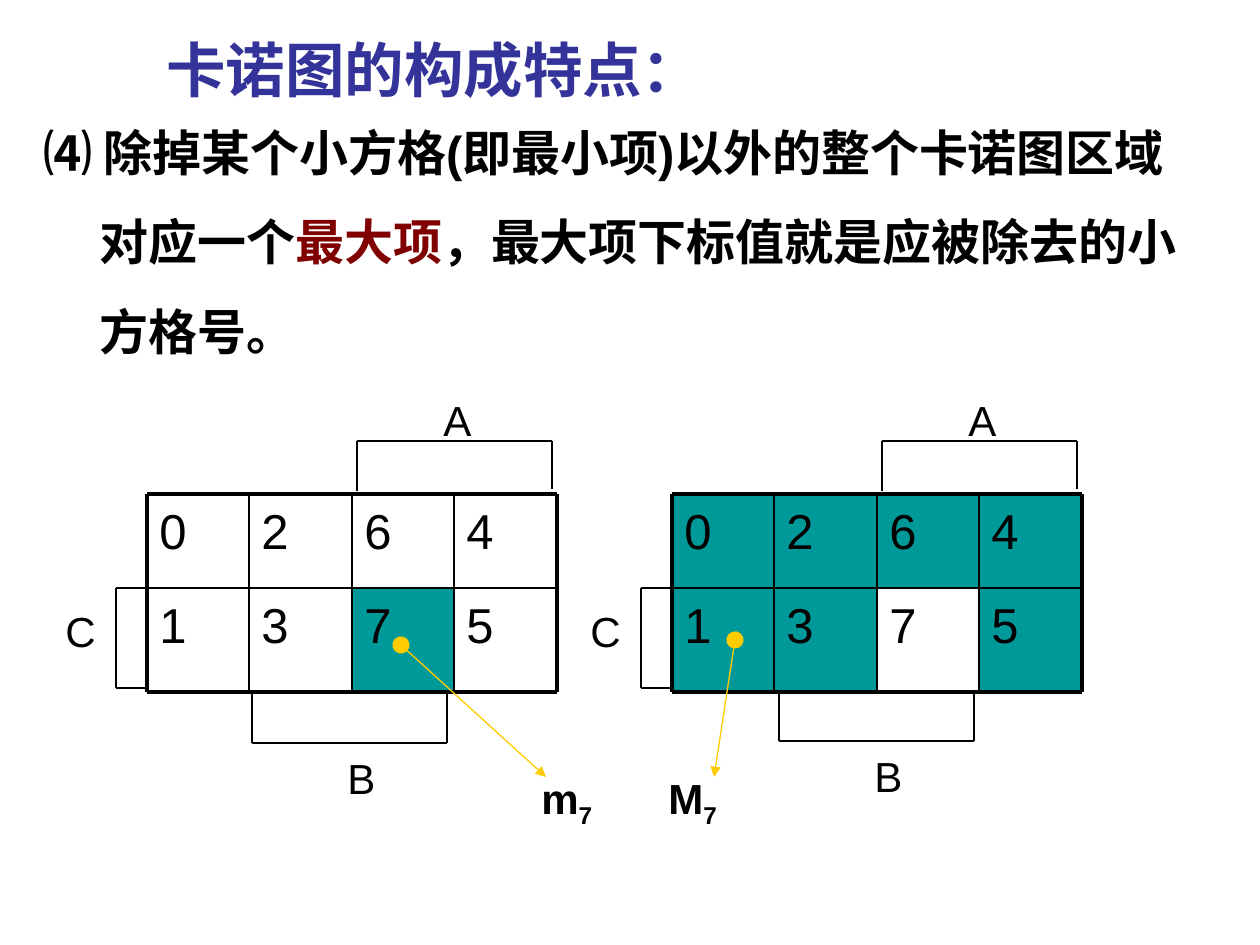
from dataclasses import dataclass
from itertools import pairwise

from lxml.etree import SubElement
from pptx import Presentation
from pptx.dml.color import RGBColor
from pptx.enum.shapes import MSO_CONNECTOR, MSO_SHAPE
from pptx.enum.text import MSO_ANCHOR, MSO_AUTO_SIZE, PP_ALIGN
from pptx.oxml.ns import qn
from pptx.util import Emu, Pt


@dataclass(frozen=True)
class Theme:
    """Colours, font and type sizes of the slide."""
    font: str = "Arial"
    ink: str = "000000"
    title: str = "333399"
    emphasis: str = "800000"
    paper: str = "FFFFFF"
    region: str = "009999"
    pointer: str = "FFCC00"
    title_size: int = 34
    body_size: int = 28
    label_size: int = 24
    border: float = 2.25
    grid: float = 1
    thin: float = 0.75


THEME = Theme()
MINTERMS = ((0, 2, 6, 4), (1, 3, 7, 5))
COLUMN_EDGES = (0, 102, 205, 307, 410)
ROW_EDGES = (494, 588, 692)
BODY_LINES = (
    (("⑷ 除掉某个小方格(即最小项)以外的整个卡诺图区域", THEME.ink),),
    (("对应一个", THEME.ink), ("最大项", THEME.emphasis),
     ("，最大项下标值就是应被除去的小", THEME.ink)),
    (("方格号。", THEME.ink),),
)


def px(length):
    """Turn pixels into EMU at 126 pixels to the inch."""
    return Emu(round(length * 914400 / 126))


def rgb(color):
    """Make a colour from its hexadecimal name."""
    return RGBColor.from_string(color)


def set_font(paragraph, size, color=THEME.ink, bold=False):
    """Format all the text of a paragraph."""
    font = paragraph.font
    font.name, font.size, font.bold = THEME.font, Pt(size), bold
    font.color.rgb = rgb(color)


def place(shape, left, top, width, height):
    """Move and size a shape."""
    shape.left, shape.top = px(left), px(top)
    shape.width, shape.height = px(width), px(height)


def fill_title(title):
    """Write the slide title."""
    place(title, 154, 26, 655, 85)
    frame = title.text_frame
    frame.auto_size = MSO_AUTO_SIZE.NONE
    frame.vertical_anchor = MSO_ANCHOR.MIDDLE
    paragraph = frame.paragraphs[0]
    paragraph.text = "卡诺图的构成特点："
    paragraph.alignment = PP_ALIGN.LEFT
    set_font(paragraph, THEME.title_size, THEME.title, True)


def fill_body(body):
    """Write the rule with its number hanging to the left."""
    place(body, 31, 116, 1197, 262)
    frame = body.text_frame
    frame.auto_size = MSO_AUTO_SIZE.NONE
    for index, pieces in enumerate(BODY_LINES):
        paragraph = frame.add_paragraph() if index else frame.paragraphs[0]
        properties = paragraph._p.get_or_add_pPr()
        properties.set("marL", str(px(56)))
        properties.set("indent", str(0 if index else px(-56)))
        SubElement(properties, qn("a:buNone"))
        paragraph.space_before = Pt(17.5 if index else 0)
        set_font(paragraph, THEME.body_size, bold=True)
        for text, color in pieces:
            run = paragraph.add_run()
            run.text = text
            run.font.color.rgb = rgb(color)


def add_label(slide, text, left, top, subscript="", bold=False):
    """Add a one-line label, with a subscript if one is given."""
    box = slide.shapes.add_textbox(px(left), px(top), px(76 if subscript else 54), px(63))
    box.text_frame.word_wrap = False
    paragraph = box.text_frame.paragraphs[0]
    paragraph.text = text
    set_font(paragraph, THEME.label_size, bold=bold)
    if subscript:
        run = paragraph.add_run()
        run.text = subscript
        run.font._element.set("baseline", "-25000")


def add_line(slide, start, end, width=THEME.thin, color=THEME.ink):
    """Add a straight line without shadow."""
    line = slide.shapes.add_connector(
        MSO_CONNECTOR.STRAIGHT, *map(px, start), *map(px, end))
    line.line.width = Pt(width)
    line.line.color.rgb = rgb(color)
    SubElement(line._element.spPr, qn("a:effectLst"))
    return line


def add_pointer(slide, start, end):
    """Add an arrow that starts with a dot."""
    outline = add_line(slide, start, end, color=THEME.pointer).line._get_or_add_ln()
    SubElement(outline, qn("a:headEnd"), type="oval", w="lg", len="lg")
    SubElement(outline, qn("a:tailEnd"), type="triangle")


def add_bracket(slide, *points):
    """Join points with lines that mark where a variable is true."""
    for start, end in pairwise(points):
        add_line(slide, start, end)


def add_cell(slide, minterm, left, top, width, height, color):
    """Add one numbered square of the map."""
    cell = slide.shapes.add_shape(
        MSO_SHAPE.RECTANGLE, px(left), px(top), px(width), px(height))
    cell.shadow.inherit = False
    cell.fill.solid()
    cell.fill.fore_color.rgb = rgb(color)
    cell.line.fill.background()
    cell.text_frame.vertical_anchor = MSO_ANCHOR.TOP
    paragraph = cell.text_frame.paragraphs[0]
    paragraph.text = str(minterm)
    paragraph.alignment = PP_ALIGN.LEFT
    set_font(paragraph, THEME.body_size)


def add_map(slide, left, shaded, b_left, b_bottom):
    """Add a three-variable Karnaugh map with its brackets."""
    columns = [left + edge for edge in COLUMN_EDGES]
    right, top, middle, bottom = columns[-1], *ROW_EDGES
    for minterms, (upper, lower) in zip(MINTERMS, pairwise(ROW_EDGES)):
        for minterm, (start, end) in zip(minterms, pairwise(columns)):
            color = THEME.region if minterm in shaded else THEME.paper
            add_cell(slide, minterm, start, upper, end - start, lower - upper, color)
    for y in ROW_EDGES:
        add_line(slide, (left, y), (right, y), THEME.grid if y == middle else THEME.border)
    for x in columns:
        add_line(slide, (x, top), (x, bottom),
                 THEME.border if x in (left, right) else THEME.grid)

    add_bracket(slide, (left + 210, 491), (left + 210, 441),
                (left + 405, 441), (left + 405, 489))
    add_label(slide, "A", left + 284, 388)
    add_bracket(slide, (b_left, b_bottom - 50), (b_left, b_bottom),
                (b_left + 195, b_bottom), (b_left + 195, b_bottom - 50))
    add_label(slide, "B", b_left + 83, b_bottom + 3)
    add_bracket(slide, (left, middle), (left - 31, middle),
                (left - 31, 688), (left, 688))
    add_label(slide, "C", left - 94, 599)


def main():
    """Build and save the slide."""
    presentation = Presentation()
    presentation.slide_width, presentation.slide_height = px(1260), px(945)
    slide = presentation.slides.add_slide(presentation.slide_layouts[1])
    fill_title(slide.shapes.title)
    fill_body(slide.placeholders[1])
    add_map(slide, 147, {7}, 252, 743)
    add_map(slide, 672, {0, 1, 2, 3, 4, 5, 6}, 779, 741)
    add_label(slide, "m", 529, 766, "7", True)
    add_label(slide, "M", 656, 766, "7", True)
    add_pointer(slide, (401, 645), (546, 777))
    add_pointer(slide, (735, 640), (714, 777))
    presentation.save("out.pptx")


if __name__ == "__main__":
    main()
